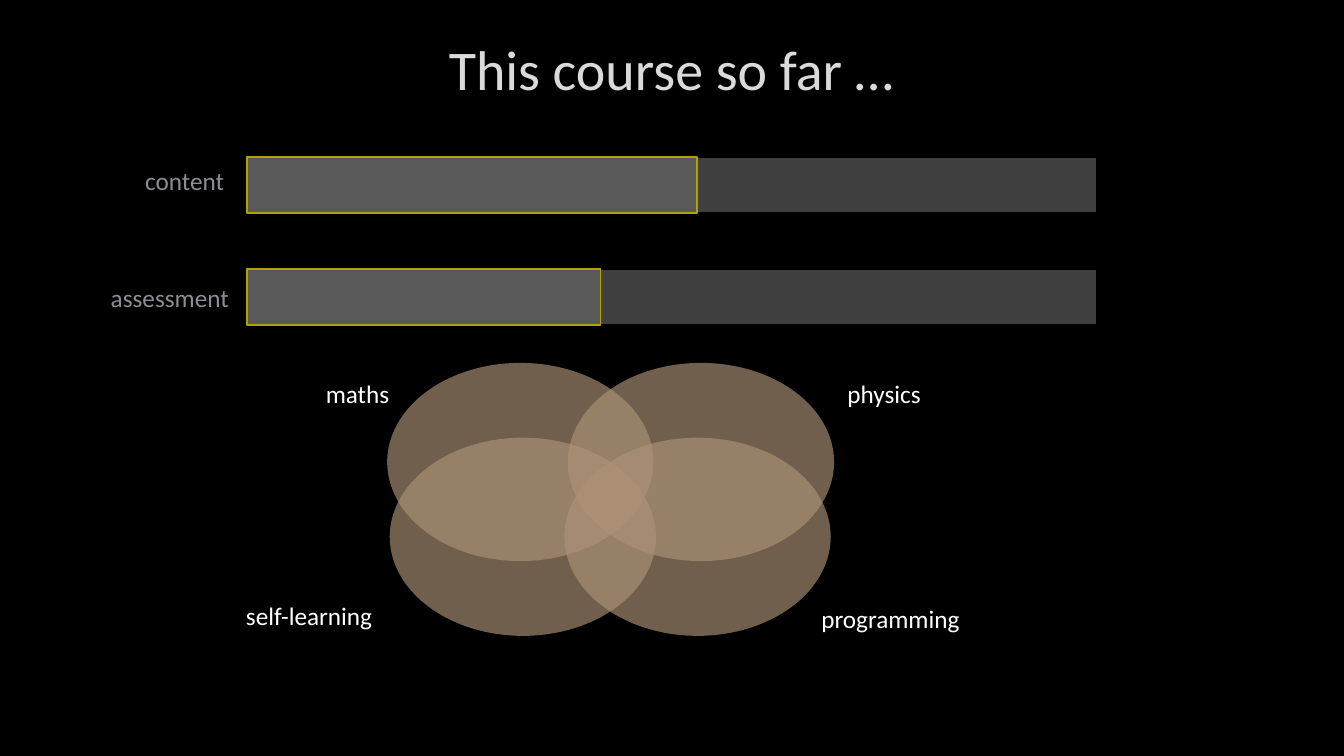
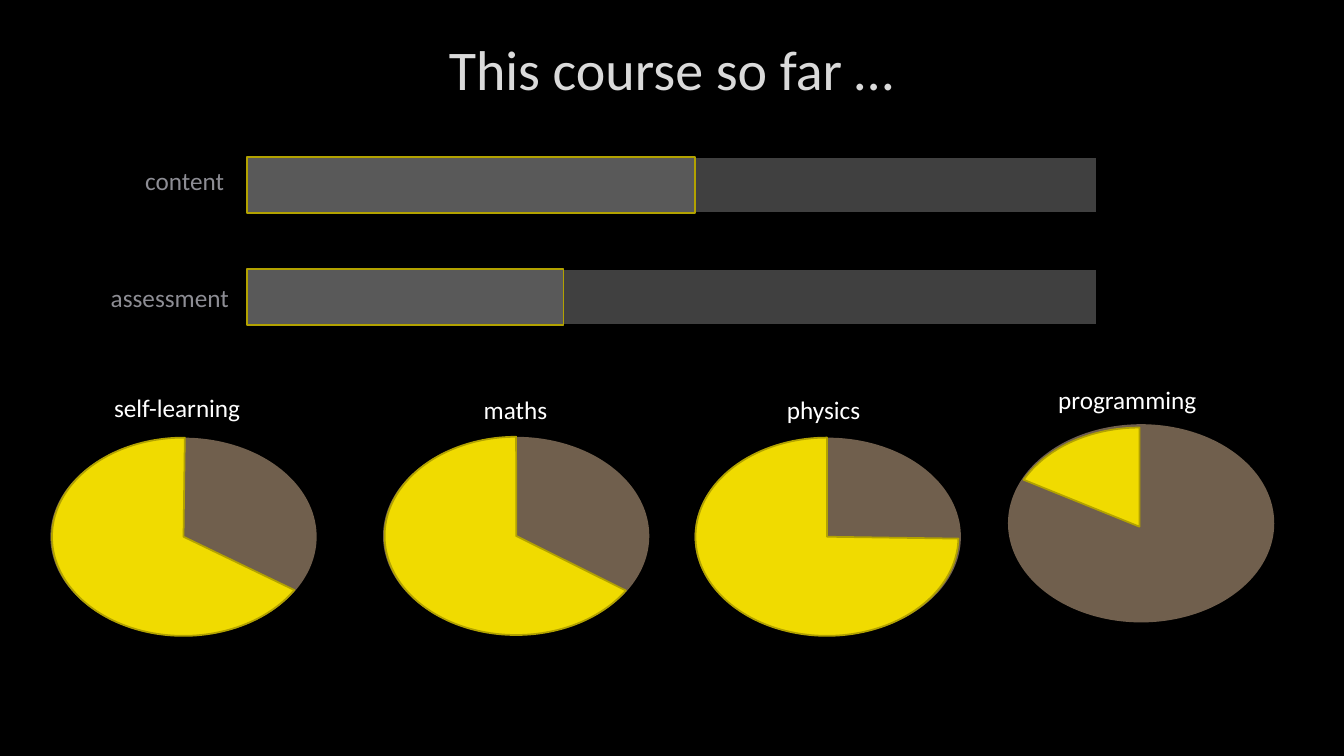
from dataclasses import dataclass

from lxml.etree import SubElement
from pptx import Presentation
from pptx.dml.color import RGBColor
from pptx.enum.shapes import MSO_SHAPE
from pptx.enum.text import MSO_ANCHOR, MSO_AUTO_SIZE, PP_ALIGN
from pptx.oxml import parse_xml
from pptx.oxml.ns import nsdecls, qn
from pptx.util import Inches, Pt

COLUMNS, ROWS = 160, 90
SLIDE_WIDTH, SLIDE_HEIGHT = Inches(13.33), Inches(7.5)
FONT = "Calibri"
BLACK, WHITE = "000000", "FFFFFF"
TITLE_COLOUR, TITLE_OUTLINE = "DADADA", "404040"
TRACK, PROGRESS, GOLD = "404040", "595959", "B2A200"
MUTED, TAN, YELLOW = "8D8D94", "AD9277", "F0DB00"
OVAL_WIDTH, OVAL_HEIGHT, SLICE_WIDTH = 31.7, 23.6, 31.3
LABEL_HEIGHT = 4.8
LABEL_WIDTHS = {"content": 17.3, "assessment": 17.3, "maths": 12,
                "physics": 12, "programming": 21, "self-learning": 21}


@dataclass
class Box:
    """A rectangle in grid columns and rows."""
    left: float
    top: float
    width: float
    height: float

    def inner(self, left, top, width, height):
        """Return a box placed relative to this one."""
        return Box(self.left + left, self.top + top, width, height)

    def lengths(self):
        """Return left, top, width and height as slide lengths."""
        column, row = SLIDE_WIDTH / COLUMNS, SLIDE_HEIGHT / ROWS
        return (round(self.left * column), round(self.top * row),
                round(self.width * column), round(self.height * row))


TITLE_BOX = Box(12, 1.7, 135.8, 12.7)
BARS_BOX = Box(29.4, 18.7, 101.2, 20)
VENN_BOX = Box(46.1, 43.2, 53.2, 32.5)
PIES_BOX = Box(6, 45.2, 145.7, 30.5)


def colour(hex_string):
    """Turn a hex string into a colour."""
    return RGBColor.from_string(hex_string)


def add_run(paragraph, text, size, hex_string):
    """Add one formatted run to a paragraph."""
    run = paragraph.add_run()
    run.text = text
    run.font.name = FONT
    run.font.size = Pt(size)
    run.font.color.rgb = colour(hex_string)
    return run


def add_label(slide, box, text, hex_string=WHITE):
    """Write a label in a text box."""
    text_frame = slide.shapes.add_textbox(*box.lengths()).text_frame
    text_frame.word_wrap = True
    text_frame.auto_size = MSO_AUTO_SIZE.SHAPE_TO_FIT_TEXT
    add_run(text_frame.paragraphs[0], text, 18, hex_string)


def add_figure(slide, kind, box, fill, line=None):
    """Draw a filled preset shape, outlined when a line colour is given."""
    shape = slide.shapes.add_shape(kind, *box.lengths())
    shape.shadow.inherit = False
    shape.fill.solid()
    shape.fill.fore_color.rgb = colour(fill)
    if line:
        shape.line.color.rgb = colour(line)
        shape.line.width = Pt(1.25)
    else:
        shape.line.fill.background()
    return shape


def add_oval(slide, box):
    """Draw a translucent topic oval."""
    shape = add_figure(slide, MSO_SHAPE.OVAL, box, TAN)
    fill_colour = shape.element.spPr.find(qn("a:solidFill"))[0]
    SubElement(fill_colour, qn("a:alpha"), val="65000")


def add_title(slide, box, text):
    """Place and format the slide title."""
    title = slide.shapes.title
    title.left, title.top, title.width, title.height = box.lengths()
    title.text_frame.vertical_anchor = MSO_ANCHOR.MIDDLE
    paragraph = title.text_frame.paragraphs[0]
    paragraph.alignment = PP_ALIGN.CENTER
    run = add_run(paragraph, text, 40, TITLE_COLOUR)
    outline = parse_xml(
        f'<a:ln {nsdecls("a")} w="{Pt(0.75)}"><a:solidFill>'
        f'<a:srgbClr val="{TITLE_OUTLINE}"><a:alpha val="10000"/></a:srgbClr>'
        '</a:solidFill><a:prstDash val="solid"/></a:ln>')
    run.font._element.insert(0, outline)


def add_bars(slide, box, content, assessment):
    """Draw the two progress bars with their labels."""
    height = box.height / 3
    bars = (("content", content, 0, -13.3, 0.4),
            ("assessment", assessment, 2 * height, -17.4, 14.3))
    for name, done, top, label_left, label_top in bars:
        for width, fill, line in ((box.width, TRACK, BLACK),
                                  (done, PROGRESS, GOLD)):
            add_figure(slide, MSO_SHAPE.RECTANGLE,
                       box.inner(0, top, width, height), fill, line)
        add_label(slide, box.inner(label_left, label_top, LABEL_WIDTHS[name],
                                   LABEL_HEIGHT), name, MUTED)


def add_venn(slide, box):
    """Draw four overlapping topics with labels around them."""
    topics = (("maths", (0, 0), (-8.5, 1.2)),
              ("physics", (21.5, 0), (53.6, 1.2)),
              ("programming", (21.1, 8.9), (50.5, 28)),
              ("self-learning", (0.3, 8.9), (-18, 27.7)))
    for name, oval, label in topics:
        add_oval(slide, box.inner(*oval, OVAL_WIDTH, OVAL_HEIGHT))
        add_label(slide, box.inner(*label, LABEL_WIDTHS[name], LABEL_HEIGHT), name)


def add_pies(slide, box):
    """Draw a row of labelled pies, with slices given in degrees."""
    pies = (("self-learning", (0, 6.9), (6.4, 0.9), (0.2, 6.9), 25.68, 270.78),
            ("maths", (39.6, 6.8), (50.4, 1.1), (39.8, 6.8), 26.47, 270),
            ("physics", (76.7, 6.9), (86.5, 1.1), (76.8, 6.9), 0.82, 270),
            ("programming", (114, 5.3), (118.8, 0), (114, 5.7), 202.06, 270))
    for name, oval, label, slice_corner, start, end in pies:
        add_oval(slide, box.inner(*oval, OVAL_WIDTH, OVAL_HEIGHT))
        add_label(slide, box.inner(*label, LABEL_WIDTHS[name], LABEL_HEIGHT), name)
        pie = add_figure(slide, MSO_SHAPE.PIE,
                         box.inner(*slice_corner, SLICE_WIDTH, OVAL_HEIGHT),
                         YELLOW, GOLD)
        for index, angle in enumerate((start, end)):
            pie.adjustments[index] = angle * 0.6


def add_course_slide(presentation, content, assessment, add_topics, topics_box):
    """Build a course slide with title, progress bars and topics."""
    slide = presentation.slides.add_slide(presentation.slide_layouts[5])
    add_title(slide, TITLE_BOX, "This course so far …")
    add_bars(slide, BARS_BOX, content, assessment)
    add_topics(slide, topics_box)


def main():
    """Build and save the presentation."""
    presentation = Presentation()
    presentation.slide_width = SLIDE_WIDTH
    presentation.slide_height = SLIDE_HEIGHT
    background = presentation.slide_master.background.fill
    background.solid()
    background.fore_color.rgb = colour(BLACK)
    add_course_slide(presentation, 53.6, 42.1, add_venn, VENN_BOX)
    add_course_slide(presentation, 53.3, 37.7, add_pies, PIES_BOX)
    presentation.save("out.pptx")


if __name__ == "__main__":
    main()
